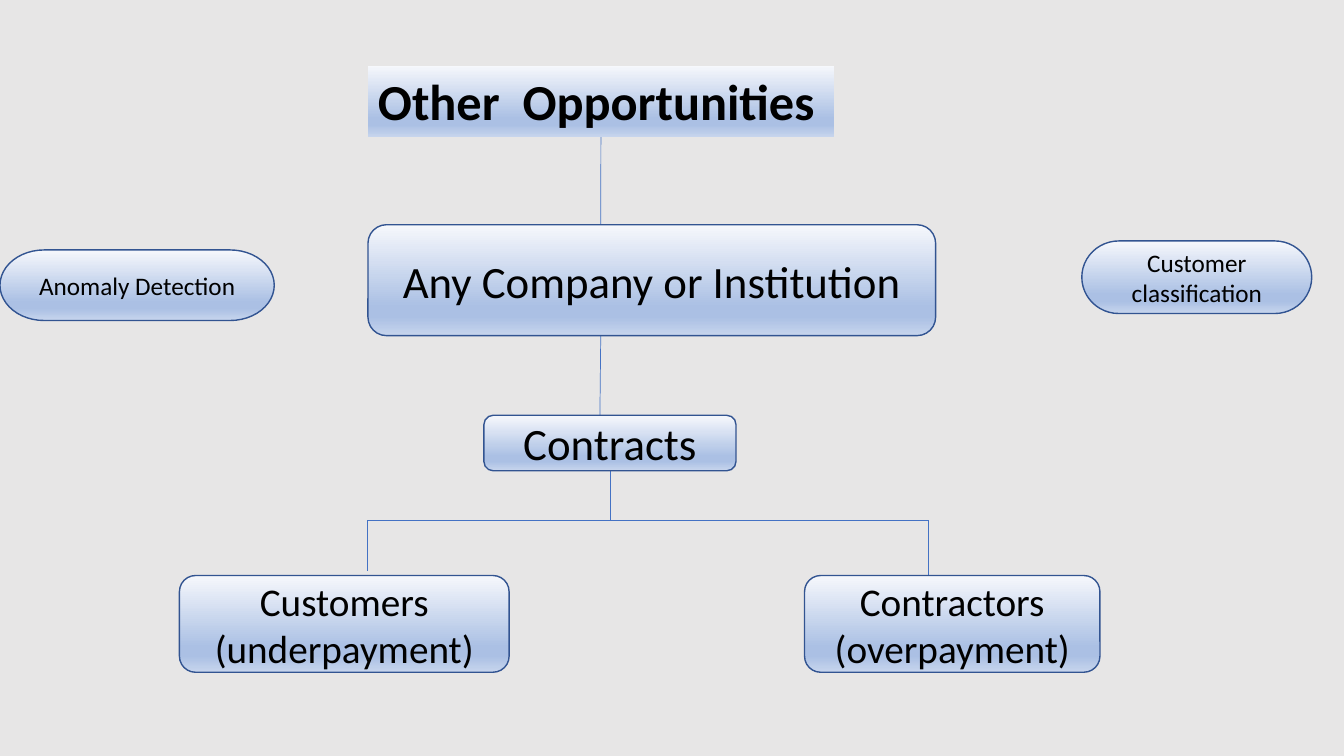
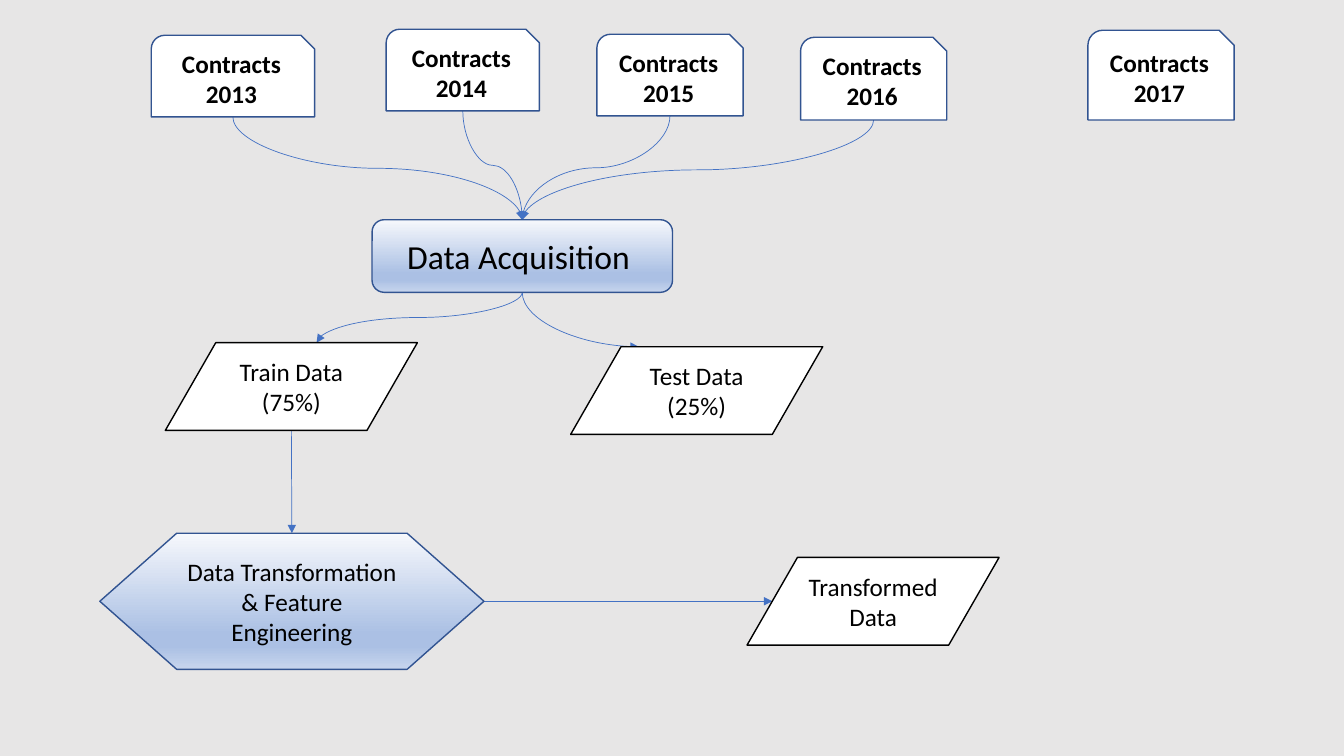
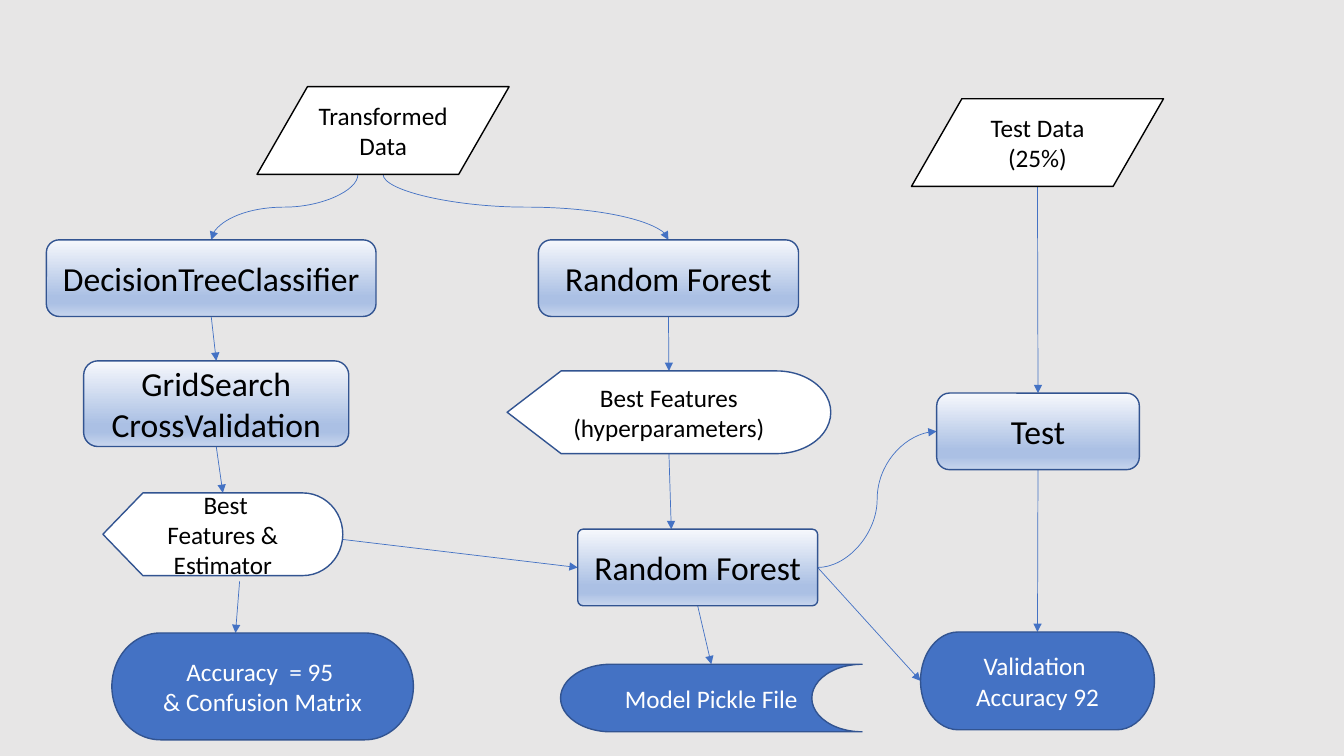
from lxml.etree import SubElement
from pptx import Presentation
from pptx.dml.color import RGBColor
from pptx.enum.shapes import MSO_CONNECTOR as Link, MSO_SHAPE as Shape
from pptx.enum.text import MSO_ANCHOR as Anchor, PP_ALIGN as Align
from pptx.oxml.ns import qn
from pptx.util import Inches, Pt

# Shared look
rgb = RGBColor.from_string
FONT = "Calibri"
BACKDROP, BLACK, WHITE = "E7E6E6", "000000", "FFFFFF"
BLUE, NAVY = "4472C4", "325491"
GRADIENT = [(0, "F6F8FC"), (74, "ABC0E4"), (83, "ABC0E4"), (100, "C7D5ED")]

# Grid of one-inch columns and rows
CELL = Inches(1)
COLUMNS, ROWS = 13.33, 7.5

deck = Presentation()
deck.slide_width, deck.slide_height = int(COLUMNS * CELL), int(ROWS * CELL)
backdrop = deck.slide_master.background.fill
backdrop.solid()
backdrop.fore_color.rgb = rgb(BACKDROP)


def add_box(page, text, left, top, width, height, kind=Shape.ROUNDED_RECTANGLE,
            size=18, color=BLACK, bold=False, fill=None, line=NAVY,
            align=Align.CENTER, anchor=Anchor.MIDDLE):
    """Add a shape with text; without a fill colour it gets the gradient."""
    box = page.shapes.add_shape(
        kind, *(int(cells * CELL) for cells in (left, top, width, height)))
    box.shadow.inherit = False
    if fill:
        box.fill.solid()
        box.fill.fore_color.rgb = rgb(fill)
    else:
        box.fill.gradient()
        box.fill.gradient_angle = 270
        stops = box._element.spPr.find(".//" + qn("a:gsLst"))
        stops[:] = []
        for percent, shade in GRADIENT:
            stop = SubElement(stops, qn("a:gs"), pos=str(percent * 1000))
            SubElement(stop, qn("a:srgbClr"), val=shade)
    if line:
        box.line.color.rgb = rgb(line)
        box.line.width = Pt(1)
    else:
        box.line.fill.background()
    frame = box.text_frame
    frame.word_wrap = True
    frame.vertical_anchor = anchor
    for index, words in enumerate(text.split("\n")):
        para = frame.add_paragraph() if index else frame.paragraphs[0]
        para.alignment = align
        span = para.add_run()
        span.text = words
        span.font.name, span.font.size, span.font.bold = FONT, Pt(size), bold
        span.font.color.rgb = rgb(color)
    return box


def add_link(page, start, end, preset="line", arrow=True):
    """Join two points, each given as (box, share of width, share of height)."""
    (x1, y1), (x2, y2) = ((box.left + across * box.width, box.top + down * box.height)
                          for box, across, down in (start, end))
    turn = 0
    if preset != "line" and start[2] == 1:
        # A bend that leaves downwards is a sideways one, turned about its middle
        turn = 270 if x2 > x1 else 90
        middle_x, middle_y = (x1 + x2) / 2, (y1 + y2) / 2
        half_width, half_height = (y2 - y1) / 2, abs(x2 - x1) / 2
        if turn == 270:
            half_width = -half_width
        x1, x2 = middle_x - half_width, middle_x + half_width
        y1, y2 = middle_y - half_height, middle_y + half_height
    link = page.shapes.add_connector(
        Link.STRAIGHT, *(int(value) for value in (x1, y1, x2, y2)))
    link.line.color.rgb = rgb(BLUE)
    link.line.width = Pt(0.5)
    properties = link._element.spPr
    properties.find(qn("a:prstGeom")).set("prst", preset)
    if turn:
        properties.find(qn("a:xfrm")).set("rot", str(turn * 60000))
    if arrow:
        SubElement(properties.find(qn("a:ln")), qn("a:tailEnd"), type="triangle")
    SubElement(properties, qn("a:effectLst"))
    # Links lie behind the boxes
    page.shapes._spTree.insert(2, link._element)


CURVE, QUARTER, ELBOW = "curvedConnector3", "curvedConnector2", "bentConnector2"
DATA = dict(width=2.5, height=0.87, kind=Shape.FLOWCHART_DATA, fill=WHITE, line=BLACK)
DISPLAY = dict(height=0.82, kind=Shape.FLOWCHART_DISPLAY, fill=WHITE)
STEP = dict(height=0.76, size=24)
RESULT = dict(kind=Shape.FLOWCHART_TERMINATOR, fill=BLUE, color=WHITE)
pages = [deck.slides.add_slide(deck.slide_layouts[6]) for _ in range(3)]

# Slide 1: opportunities tree
page = pages[0]
title = add_box(page, "Other  Opportunities", 3.65, 0.65, 4.62, 0.71, Shape.RECTANGLE,
                size=36, bold=True, line=None, align=Align.LEFT, anchor=Anchor.TOP)
company = add_box(page, "Any Company or Institution", 3.65, 2.23, 5.63, 1.1, size=32)
contracts = add_box(page, "Contracts", 4.8, 4.12, 2.5, 0.55, size=32)
customers = add_box(page, "Customers\n(underpayment)", 1.78, 5.71, 3.27, 0.96, size=28)
contractors = add_box(page, "Contractors\n(overpayment)", 7.98, 5.71, 2.93, 0.96, size=28)
add_box(page, "Customer classification", 10.73, 2.39, 2.28, 0.72, Shape.FLOWCHART_TERMINATOR)
add_box(page, "Anomaly Detection", 0, 2.48, 2.72, 0.7, Shape.FLOWCHART_TERMINATOR)

add_link(page, (title, 0.5, 1), (company, 0.41, 0), arrow=False)
add_link(page, (company, 0.41, 1), (contracts, 0.46, 0), arrow=False)
for branch, across, stop in ((customers, 0.57, -0.05), (contractors, 0.42, 0)):
    corner = (branch, across, -0.57)
    add_link(page, (contracts, 0.5, 1), corner, ELBOW, arrow=False)
    add_link(page, corner, (branch, across, stop), arrow=False)

# Slide 2: data acquisition
page = pages[1]
acquisition = add_box(page, "Data Acquisition ", 3.69, 2.18, 2.98, 0.72, size=24)
years = [(2013, 1.5, 0.35, 1.62, 0.81), (2014, 3.83, 0.29, 1.52, 0.81),
         (2015, 5.92, 0.34, 1.45, 0.81), (2016, 7.94, 0.37, 1.45, 0.82),
         (2017, 10.79, 0.3, 1.45, 0.89)]
for year, *place in years:
    card = add_box(page, f"Contracts\n{year}", *place, Shape.SNIP_ROUND_RECTANGLE,
                   bold=True, fill=WHITE)
    if year < 2017:
        add_link(page, (card, 0.5, 1), (acquisition, 0.5, 0), CURVE)
train = add_box(page, "Train Data (75%)", 1.64, 3.4, **DATA)
test_data = add_box(page, "Test Data (25%)", 5.66, 3.44, **DATA)
features = add_box(page, "Data Transformation & Feature Engineering",
                   0.99, 5.29, 3.81, 1.35, Shape.FLOWCHART_PREPARATION)
transformed = add_box(page, "Transformed Data", 7.41, 5.53, **DATA)

add_link(page, (acquisition, 0.5, 1), (train, 0.6, 0), CURVE)
add_link(page, (acquisition, 0.5, 1), (test_data, 0.27, 0), QUARTER)
add_link(page, (train, 0.5, 1), (features, 0.5, 0))
add_link(page, (features, 1, 0.5), (transformed, 0.1, 0.5))

# Slide 3: models and validation
page = pages[2]
transformed = add_box(page, "Transformed Data", 2.55, 0.86, **DATA)
test_data = add_box(page, "Test Data (25%)", 9.04, 0.98, **DATA)
tree = add_box(page, "DecisionTreeClassifier", 0.46, 2.38, 3.27, **STEP)
search = add_box(page, "GridSearch\nCrossValidation", 0.83, 3.58, 2.63, 0.85, size=24)
estimator = add_box(page, " Best Features & Estimator", 1.02, 4.89, 2.38, **DISPLAY)
accuracy = add_box(page, "Accuracy  = 95 \n& Confusion Matrix", 1.11, 6.28, 2.99, 1.06, **RESULT)
forest = add_box(page, "Random Forest", 5.34, 2.38, 2.58, **STEP)
best = add_box(page, "Best Features (hyperparameters)", 5.03, 3.68, 3.21, **DISPLAY)
final = add_box(page, "Random Forest", 5.73, 5.25, 2.38, **STEP)
final.adjustments[0] = 0.07
pickle_file = add_box(page, "Model Pickle File", 5.56, 6.59, 2.99, 0.67,
                      Shape.FLOWCHART_STORED_DATA, fill=BLUE, color=WHITE)
test = add_box(page, "Test", 9.29, 3.9, 2.01, **STEP)
validation = add_box(page, "Validation \nAccuracy 92", 9.13, 6.27, 2.32, 0.97, **RESULT)

# Straight steps down, from bottom middle to top middle
for upper, lower in ((tree, search), (search, estimator), (forest, best),
                     (final, pickle_file), (test_data, test), (test, validation)):
    add_link(page, (upper, 0.5, 1), (lower, 0.5, 0))
add_link(page, (best, 0.5, 1), (final, 0.39, 0))
add_link(page, (estimator, 0.57, 1.07), (accuracy, 0.41, 0))
add_link(page, (estimator, 0.99, 0.56), (final, 0, 0.5))
add_link(page, (final, 1, 0.5), (validation, 0, 0.5))
add_link(page, (final, 1, 0.5), (test, 0, 0.5), CURVE)
add_link(page, (transformed, 0.4, 1), (tree, 0.5, 0), CURVE)
add_link(page, (transformed, 0.5, 1), (forest, 0.5, 0), CURVE)

deck.save("out.pptx")
